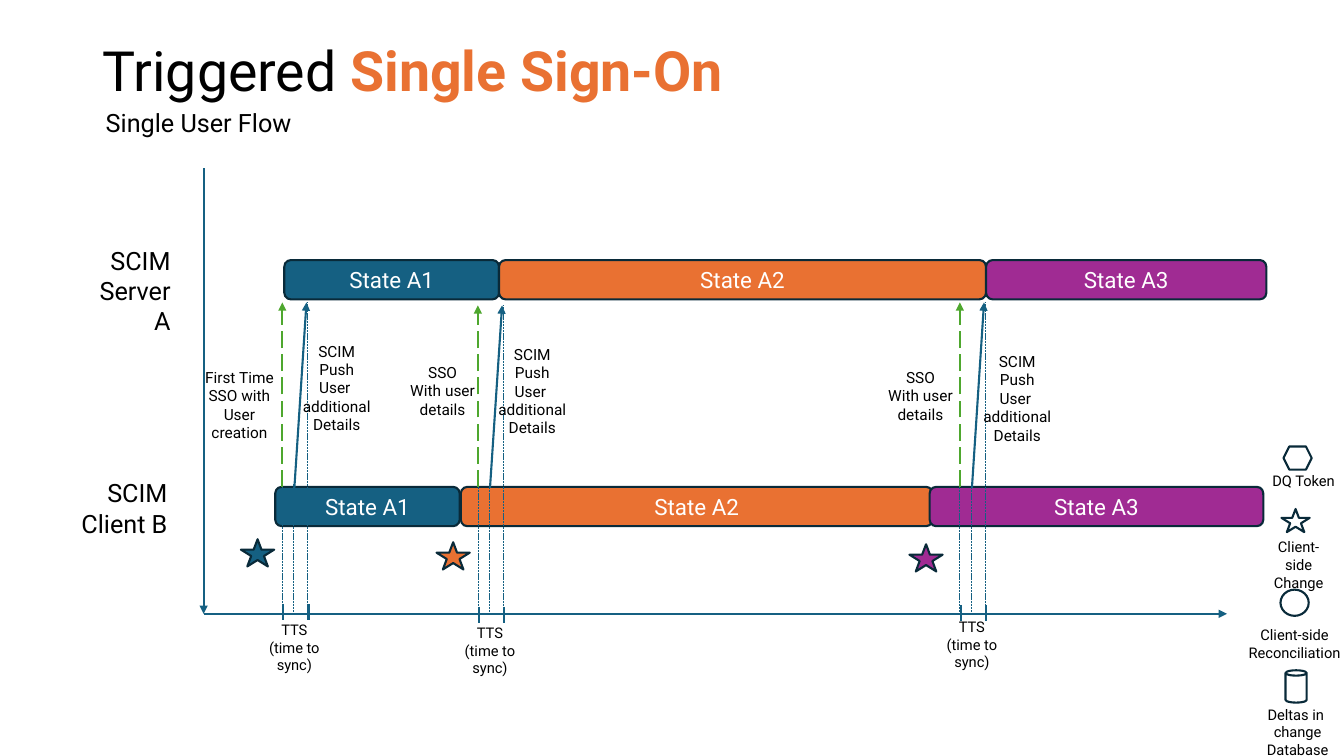
"""Build the Triggered Single Sign-On timeline slide."""
from pptx import Presentation
from pptx.dml.color import RGBColor
from pptx.enum.dml import MSO_LINE
from pptx.enum.shapes import MSO_CONNECTOR, MSO_SHAPE
from pptx.enum.text import MSO_ANCHOR, MSO_AUTO_SIZE, PP_ALIGN
from pptx.oxml.ns import qn
from pptx.util import Inches, Pt
from lxml.etree import SubElement

FONT = "Roboto"
BLUE, ORANGE, PURPLE, GREEN = "156082", "E97132", "A02B93", "4EA72E"
BLACK, WHITE, OUTLINE = "000000", "FFFFFF", "092A39"
BAR_HEIGHT = 0.39
AXIS_X, AXIS_Y, AXIS_TOP, AXIS_END = 2.02, 6.09, 1.67, 12.17
CLIENT_TOP = 4.83

ACTORS = [
    ("SCIM\nServer A", 0.7, 2.38, 1.09, 0.71),
    ("SCIM\nClient B", 0.7, 4.69, 1.06, 0.71),
]
STATES = [("State A1", BLUE), ("State A2", ORANGE), ("State A3", PURPLE)]
LANES = [
    (2.58, [(2.82, 2.13), (4.95, 4.83), (9.78, 2.78)]),
    (CLIENT_TOP, [(2.73, 1.83), (4.57, 4.68), (9.22, 3.31)]),
]
PUSH_TEXT = "SCIM\nPush\nUser \nadditional \nDetails"
TTS_TEXT = "TTS\n(time to sync)"
SSO_TEXT = "SSO\nWith user\ndetails"
CYCLES = [
    dict(x=2.8, arrow_top=3.0, tick_top=5.99, tts_top=6.11, push=(2.89, 3.34),
         star=(2.39, 5.35), color=BLUE,
         sso=("First Time SSO with User creation", 1.83, 3.6, 1.09, 0.66)),
    dict(x=4.74, arrow_top=3.03, tick_top=6.02, tts_top=6.14, push=(4.83, 3.37),
         star=(4.33, 5.38), color=ORANGE,
         sso=(SSO_TEXT, 3.97, 3.55, 0.84, 0.66)),
    dict(x=9.52, arrow_top=3.0, tick_top=6.0, tts_top=6.08, push=(9.64, 3.44),
         star=(9.02, 5.4), color=PURPLE,
         sso=(SSO_TEXT, 8.71, 3.6, 0.84, 0.66)),
]
LEGEND = [
    (MSO_SHAPE.HEXAGON, (12.73, 4.43, 0.28, 0.23),
     ("DQ Token", 12.5, 4.63, 0.86, 0.28)),
    (MSO_SHAPE.STAR_5_POINT, (12.71, 5.05, 0.28, 0.23),
     ("Client-side\nChange", 12.5, 5.29, 0.76, 0.38)),
    (MSO_SHAPE.OVAL, (12.7, 5.85, 0.28, 0.26),
     ("Client-side\nReconciliation", 12.28, 6.16, 1.12, 0.45)),
    (MSO_SHAPE.CAN, (12.75, 6.65, 0.21, 0.32),
     ("Deltas in \nchange Database", 12.32, 6.95, 1.1, 0.38)),
]

deck = Presentation()
deck.slide_width, deck.slide_height = Inches(13.33), Inches(7.5)
page = deck.slides.add_slide(deck.slide_layouts[6])


def paint(target, color):
    target.rgb = RGBColor.from_string(color)


def style_text(frame, size, color, align):
    for para in frame.paragraphs:
        para.alignment = align
        for span in para.runs:
            span.font.name, span.font.size = FONT, Pt(size)
            paint(span.font.color, color)


def add_text(text, left, top, width, height, size=11, align=PP_ALIGN.CENTER):
    box = page.shapes.add_textbox(*map(Inches, (left, top, width, height)))
    frame = box.text_frame
    frame.word_wrap = True
    frame.auto_size = MSO_AUTO_SIZE.SHAPE_TO_FIT_TEXT
    frame.text = text
    style_text(frame, size, BLACK, align)
    return frame


def add_shape(kind, area, fill, text=""):
    shape = page.shapes.add_shape(kind, *map(Inches, area))
    shape.shadow.inherit = False
    shape.fill.solid()
    paint(shape.fill.fore_color, fill)
    paint(shape.line.color, OUTLINE)
    shape.line.width = Pt(1.5)
    if text:
        shape.text_frame.text = text
        shape.text_frame.vertical_anchor = MSO_ANCHOR.MIDDLE
        style_text(shape.text_frame, 16, WHITE, PP_ALIGN.CENTER)


def add_line(x1, y1, x2, y2, color=BLUE, width=1.5, dash=None, arrow=False):
    line = page.shapes.add_connector(
        MSO_CONNECTOR.STRAIGHT, *map(Inches, (x1, y1, x2, y2)))
    paint(line.line.color, color)
    line.line.width = Pt(width)
    if dash:
        line.line.dash_style = dash
    properties = line._element.spPr
    if arrow:
        SubElement(properties.find(qn("a:ln")), qn("a:tailEnd"), type="triangle")
    SubElement(properties, qn("a:effectLst"))


def add_cycle(cycle):
    x, top, tick = cycle["x"], cycle["arrow_top"], cycle["tick_top"]
    for offset, end in ((0, 4.8), (0.11, 4.8), (0.25, top)):
        add_line(x + offset, 6.07, x + offset, end, width=0.5,
                 dash=MSO_LINE.SQUARE_DOT)
    for offset in (0.01, 0.26):
        add_line(x + offset, tick, x + offset, tick + 0.16)
    add_line(x, CLIENT_TOP, x, top, GREEN, dash=MSO_LINE.LONG_DASH, arrow=True)
    add_line(x + 0.12, CLIENT_TOP + 0.01, x + 0.24, top, arrow=True)
    add_shape(MSO_SHAPE.STAR_5_POINT, (*cycle["star"], 0.33, 0.27), cycle["color"])
    add_text(PUSH_TEXT, *cycle["push"], 0.9, 1.03)
    add_text(*cycle["sso"])
    add_text(TTS_TEXT, x - 0.41, cycle["tts_top"], 1.06, 0.45, 10.5)


def add_title():
    frame = add_text("Triggered ", 0.92, 0.4, 11.5, 0.66, 39.6, PP_ALIGN.LEFT)
    frame.auto_size = MSO_AUTO_SIZE.NONE
    frame.vertical_anchor = MSO_ANCHOR.MIDDLE
    para = frame.paragraphs[0]
    para.line_spacing = 0.9
    accent = para.add_run()
    accent.text = "Single Sign-On"
    style_text(frame, 39.6, BLACK, PP_ALIGN.LEFT)
    accent.font.bold = True
    paint(accent.font.color, ORANGE)


add_title()
add_text("Single User Flow", 0.95, 1.02, 6.79, 0.4, 18, PP_ALIGN.LEFT)
add_line(AXIS_X, AXIS_TOP, AXIS_X, AXIS_Y, arrow=True)
add_line(AXIS_X, AXIS_Y, AXIS_END, AXIS_Y, arrow=True)
for actor in ACTORS:
    add_text(*actor, 18, PP_ALIGN.RIGHT)
for lane_top, bars in LANES:
    for (state, color), (left, width) in zip(STATES, bars):
        add_shape(MSO_SHAPE.ROUNDED_RECTANGLE,
                  (left, lane_top, width, BAR_HEIGHT), color, state)
for cycle in CYCLES:
    add_cycle(cycle)
for kind, area, label in LEGEND:
    add_shape(kind, area, WHITE)
    add_text(*label, 10.5)

deck.save("out.pptx")
